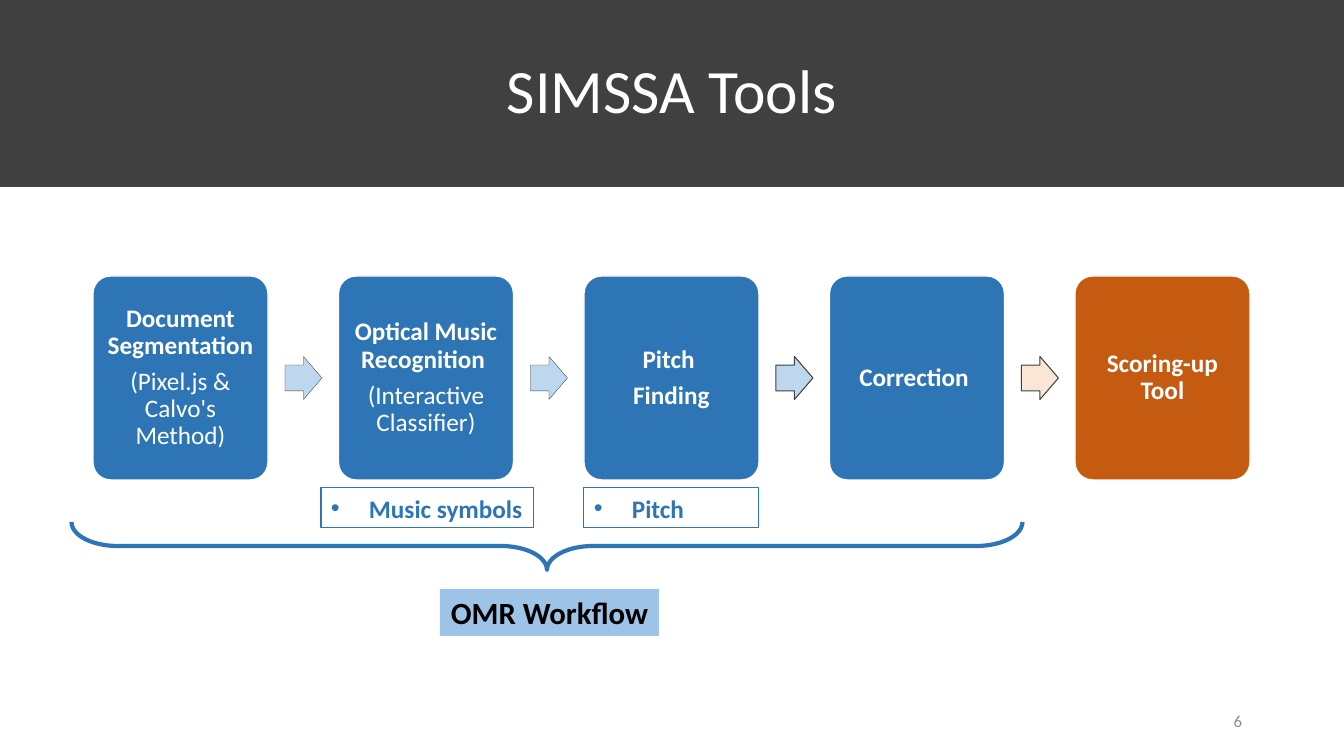
from lxml import etree
from pptx import Presentation
from pptx.dml.color import RGBColor
from pptx.enum.shapes import MSO_SHAPE as Shape
from pptx.enum.text import MSO_ANCHOR as Anchor, PP_ALIGN as Align
from pptx.oxml.ns import qn
from pptx.util import Emu, Pt

TITLE = "SIMSSA Tools"
PAGE_NUMBER = "6"
# Each step: (paragraph text, bold) pairs, then the box fill
STEPS = [
    ([("Document Segmentation ", True), ("(Pixel.js & Calvo's Method)", False)], "blue"),
    ([("Optical Music Recognition ", True), ("(Interactive Classifier)", False)], "blue"),
    ([("Pitch ", True), ("Finding", True)], "blue"),
    ([("Correction ", True)], "blue"),
    ([("Scoring-up Tool", True)], "orange"),
]
# Each arrow: fill, line width in points
ARROWS = [("pale_blue", 0.25), ("pale_blue", 0.25), ("pale_blue", 0.75), ("pale_orange", 0.75)]
# Each output: text, left, width
OUTPUTS = [("Music symbols", 321, 213), ("Pitch", 584, 175)]
WORKFLOW = "OMR Workflow"

COLORS = {
    "dark": "404040", "white": "FFFFFF", "black": "000000", "grey": "8C8C8C",
    "blue": "2E75B6", "orange": "C55A11", "pale_blue": "BDD7EE",
    "pale_orange": "FBE5D6", "label": "9DC3E6",
}
FONT = "Calibri"

FIRST_LEFT, LAST_LEFT = 93, 1075
BOX_TOP, BOX_WIDTH, BOX_HEIGHT = 276, 175, 204
ARROW_OFFSET, ARROW_WIDTH, ARROW_HEIGHT = 192, 37, 43
BRACE_CENTER = (547, 546)
BRACE_DEPTH, BRACE_SPAN = 48, 951
BULLET_INDENT = 38


def px(value):
    return Emu(round(value * 914400 / 100.8))


def rgb(name):
    return RGBColor.from_string(COLORS[name])


def write(shape, paragraphs, size, color, align=Align.CENTER, anchor=Anchor.MIDDLE,
          bullet=False, **spacing):
    """Fill a shape with (text, bold) paragraphs."""
    frame = shape.text_frame
    frame.word_wrap = True
    frame.vertical_anchor = anchor
    for index, (text, bold) in enumerate(paragraphs):
        paragraph = frame.paragraphs[0] if index == 0 else frame.add_paragraph()
        if bullet:
            properties = paragraph._p.get_or_add_pPr()
            properties.set("marL", str(px(BULLET_INDENT)))
            properties.set("indent", str(-px(BULLET_INDENT)))
            etree.SubElement(properties, qn("a:buFont")).set("typeface", "Arial")
            etree.SubElement(properties, qn("a:buChar")).set("char", "•")
        paragraph.alignment = align
        for name, value in spacing.items():
            setattr(paragraph, name, value)
        run = paragraph.add_run()
        run.text = text
        for name, value in {"name": FONT, "size": Pt(size), "bold": bold}.items():
            setattr(run.font, name, value)
        run.font.color.rgb = rgb(color)


def add_shape(slide, kind, bounds, fill=None, line=None, width=1, adjustments=()):
    shape = slide.shapes.add_shape(kind, *map(px, bounds))
    shape.shadow.inherit = False
    for index, value in enumerate(adjustments):
        shape.adjustments[index] = value
    if fill:
        shape.fill.solid()
        shape.fill.fore_color.rgb = rgb(fill)
    else:
        shape.fill.background()
    if line:
        shape.line.color.rgb = rgb(line)
        shape.line.width = Pt(width)
    else:
        shape.line.fill.background()
    return shape


def add_title(slide):
    title = slide.shapes.title
    title.left, title.top, title.width, title.height = map(px, (0, 0, 1344, 187))
    title.fill.solid()
    title.fill.fore_color.rgb = rgb("dark")
    write(title, [(TITLE, False)], 44, "white", line_spacing=0.9)


def add_steps(slide):
    pitch = (LAST_LEFT - FIRST_LEFT) / (len(STEPS) - 1)
    for index, (paragraphs, fill) in enumerate(STEPS):
        box = add_shape(slide, Shape.ROUNDED_RECTANGLE,
                        (FIRST_LEFT + index * pitch, BOX_TOP, BOX_WIDTH, BOX_HEIGHT),
                        fill, "white", adjustments=[0.1])
        for side in ("left", "top", "right", "bottom"):
            setattr(box.text_frame, f"margin_{side}", px(8))
        write(box, paragraphs, 18, "white", line_spacing=0.9, space_after=Pt(6.3))
    arrow_top = BOX_TOP + (BOX_HEIGHT - ARROW_HEIGHT) / 2
    for index, (fill, width) in enumerate(ARROWS):
        left = FIRST_LEFT + index * pitch + ARROW_OFFSET
        add_shape(slide, Shape.RIGHT_ARROW, (left, arrow_top, ARROW_WIDTH, ARROW_HEIGHT),
                  fill, "dark", width, [0.6, 0.5])


def add_workflow(slide):
    center_x, center_y = BRACE_CENTER
    brace = add_shape(slide, Shape.LEFT_BRACE,
                      (center_x - BRACE_DEPTH / 2, center_y - BRACE_SPAN / 2,
                       BRACE_DEPTH, BRACE_SPAN),
                      line="blue", width=3, adjustments=[0.958, 0.5])
    brace.rotation = 270
    label = add_shape(slide, Shape.RECTANGLE, (440, 589, 219, 47), "label")
    write(label, [(WORKFLOW, True)], 22, "black", anchor=Anchor.TOP)
    label.text_frame.word_wrap = False
    for text, left, width in OUTPUTS:
        output = add_shape(slide, Shape.RECTANGLE, (left, 488, width, 40),
                           "white", "blue", 0.75)
        write(output, [(text, True)], 18, "blue", Align.LEFT, Anchor.TOP, bullet=True)


def main():
    presentation = Presentation()
    presentation.slide_width, presentation.slide_height = px(1344), px(756)
    slide = presentation.slides.add_slide(presentation.slide_layouts[5])
    add_title(slide)
    add_steps(slide)
    number = slide.shapes.add_textbox(*map(px, (950, 701, 302, 40)))
    write(number, [(PAGE_NUMBER, False)], 12, "grey", Align.RIGHT)
    add_workflow(slide)
    presentation.save("out.pptx")


if __name__ == "__main__":
    main()
